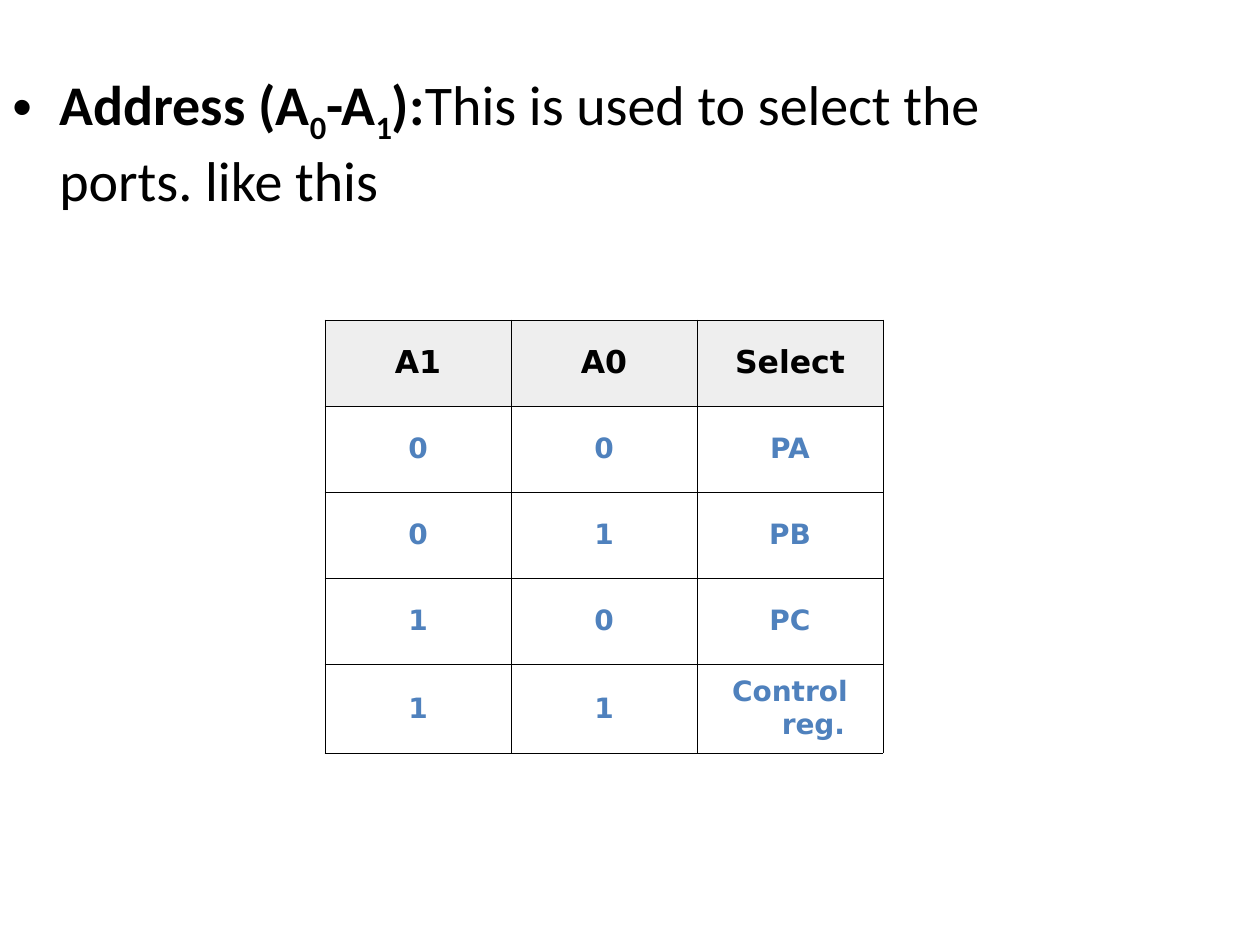
from lxml import etree
from pptx import Presentation
from pptx.dml.color import RGBColor
from pptx.enum.text import MSO_ANCHOR, PP_ALIGN
from pptx.oxml.ns import qn
from pptx.util import Emu, Pt

CENTER = PP_ALIGN.CENTER
MIDDLE = MSO_ANCHOR.MIDDLE
PX_PER_INCH = 126
COLORS = {"ink": "000000", "header": "EEEEEE", "value": "4F81BD"}
BODY_FONT, TABLE_FONT = "Calibri", "DejaVu Sans"
HANGING = 47
BORDER = Pt(0.45)


def px(length):
    return Emu(round(length * 914400 / PX_PER_INCH))


class PageBuilder:
    """Holds the style and the current slide."""

    def __init__(self, deck):
        self.page = deck.slides.add_slide(deck.slide_layouts[6])

    def style(self, span, font, size, color, bold):
        span.font.name = font
        span.font.size = Pt(size)
        span.font.bold = bold
        span.font.color.rgb = RGBColor.from_string(COLORS[color])

    def hang(self, paragraph):
        properties = paragraph._p.get_or_add_pPr()
        properties.set("marL", str(px(HANGING)))
        properties.set("indent", str(-px(HANGING)))
        return properties

    def bullet_text(self, left, top, width, height, spans):
        """spans: (text, bold, is_subscript)"""
        box = self.page.shapes.add_textbox(px(left), px(top), px(width), px(height))
        box.text_frame.word_wrap = True
        paragraph = box.text_frame.paragraphs[0]
        properties = self.hang(paragraph)
        etree.SubElement(properties, qn("a:buFont"), typeface="Arial")
        etree.SubElement(properties, qn("a:buChar"), char="•")
        for text, bold, is_subscript in spans:
            span = paragraph.add_run()
            span.text = text
            self.style(span, BODY_FONT, 32, "ink", bold)
            if is_subscript:
                span.font._element.set("baseline", "-25000")

    def borders(self, cell):
        properties = cell._tc.get_or_add_tcPr()
        for position, side in enumerate(("a:lnL", "a:lnR", "a:lnT", "a:lnB")):
            line = etree.Element(qn(side), w=str(BORDER))
            fill = etree.SubElement(line, qn("a:solidFill"))
            etree.SubElement(fill, qn("a:srgbClr"), val=COLORS["ink"])
            properties.insert(position, line)

    def cell(self, cell, text, is_header):
        cell.vertical_anchor = MIDDLE
        cell.text_frame.text = text
        paragraph = cell.text_frame.paragraphs[0]
        paragraph.alignment = CENTER
        self.hang(paragraph)
        size, color = (18, "ink") if is_header else (16, "value")
        self.style(paragraph.runs[0], TABLE_FONT, size, color, True)
        if is_header:
            cell.fill.solid()
            cell.fill.fore_color.rgb = RGBColor.from_string(COLORS["header"])
        else:
            cell.fill.background()
        self.borders(cell)

    def table(self, left, top, column_width, row_heights, rows):
        columns = len(rows[0])
        table = self.page.shapes.add_table(
            len(rows), columns, px(left), px(top),
            px(column_width * columns), px(sum(row_heights))).table
        table.horz_banding = False
        for column in table.columns:
            column.width = px(column_width)
        for row_index, (height, texts) in enumerate(zip(row_heights, rows)):
            table.rows[row_index].height = px(height)
            for column_index, text in enumerate(texts):
                self.cell(table.cell(row_index, column_index), text, row_index == 0)


def main():
    deck = Presentation()
    deck.slide_width, deck.slide_height = px(1260), px(945)
    builder = PageBuilder(deck)

    # Port selection table
    builder.table(325, 320, 186, [86, 86, 86, 86, 89], [
        ("A1", "A0", "Select"),
        ("0", "0", "PA"),
        ("0", "1", "PB"),
        ("1", "0", "PC"),
        ("1", "1", "Control reg."),
    ])

    # Address line explanation
    builder.bullet_text(0, 63, 1134, 781, [
        ("Address (A", True, False),
        ("0", True, True),
        ("-A", True, False),
        ("1", True, True),
        ("):", True, False),
        ("This is used to select the ports. like this", False, False),
    ])

    deck.save("out.pptx")


if __name__ == "__main__":
    main()
